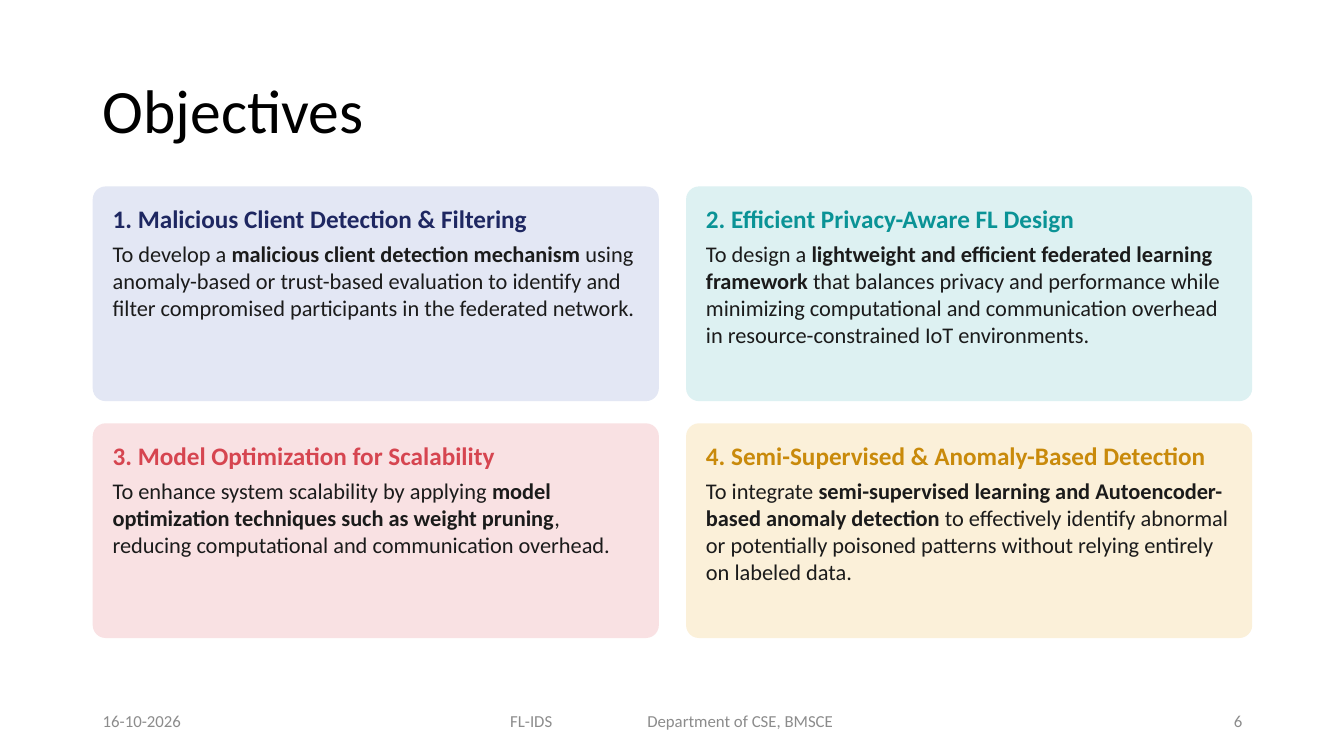
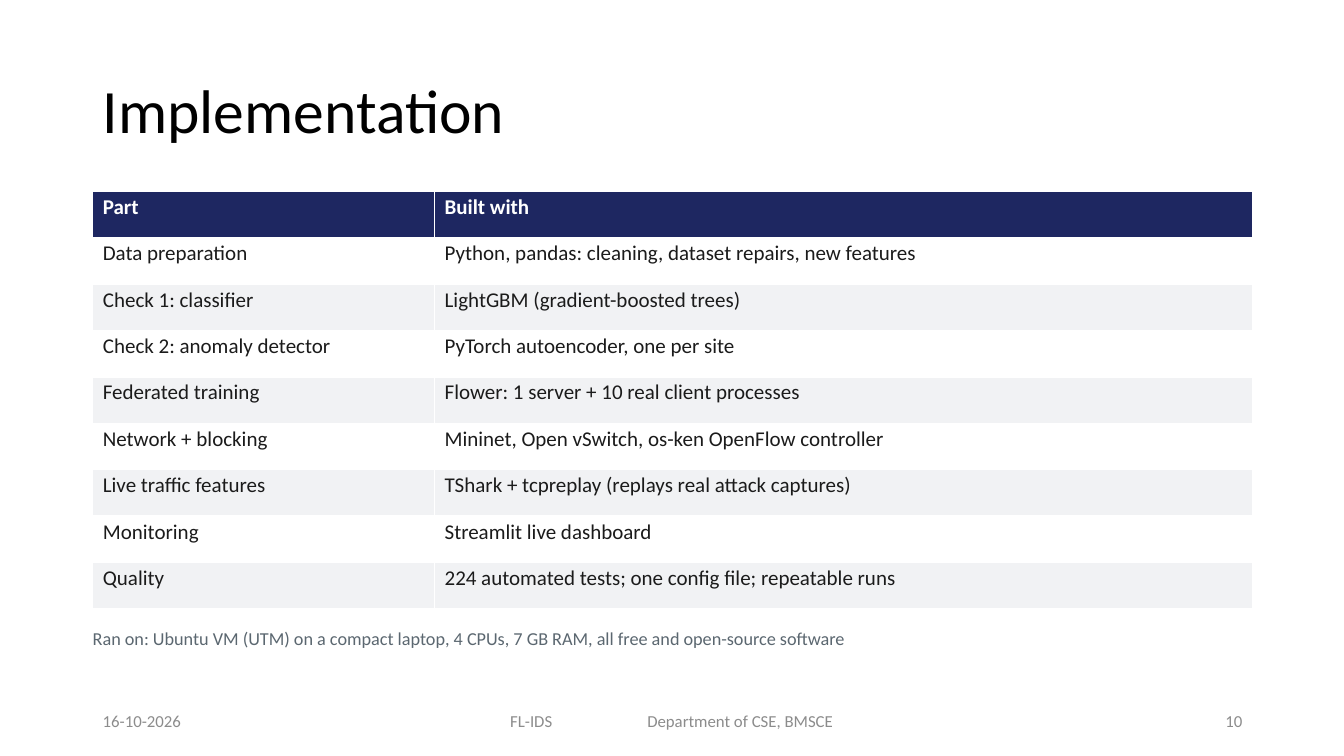
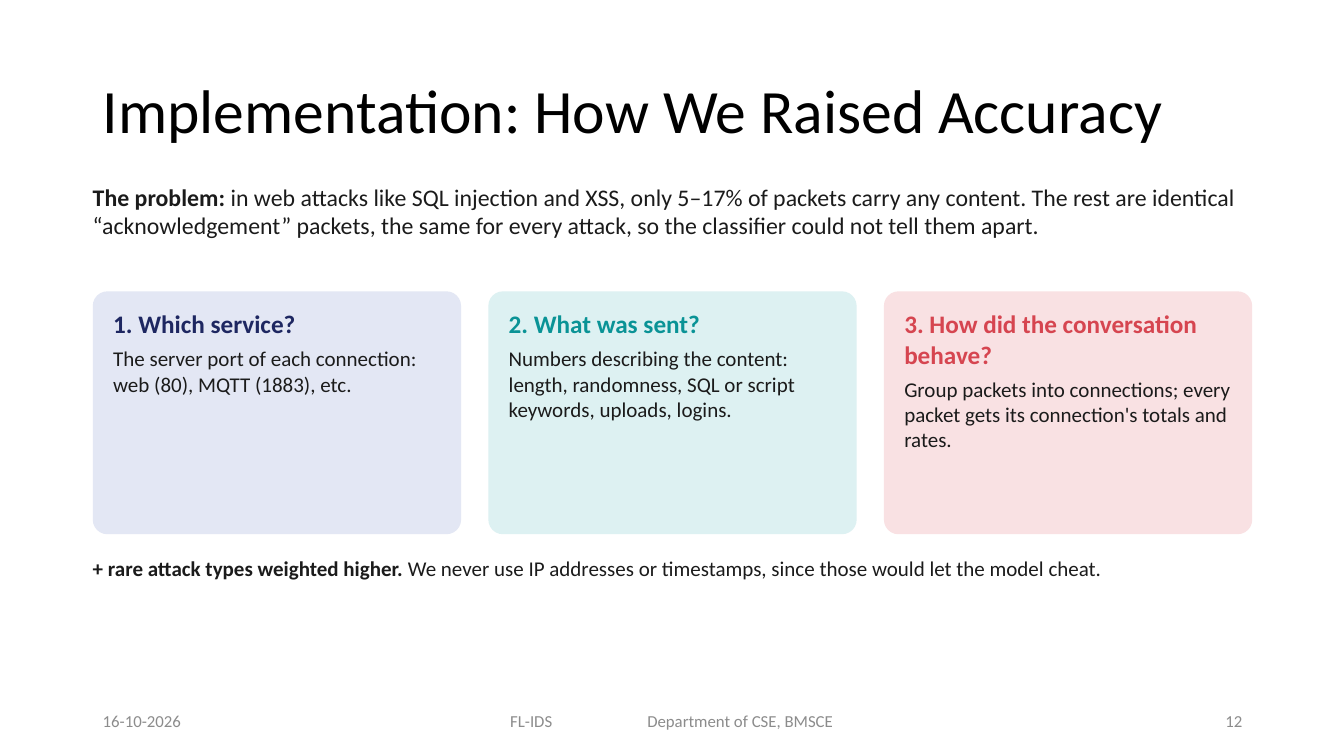
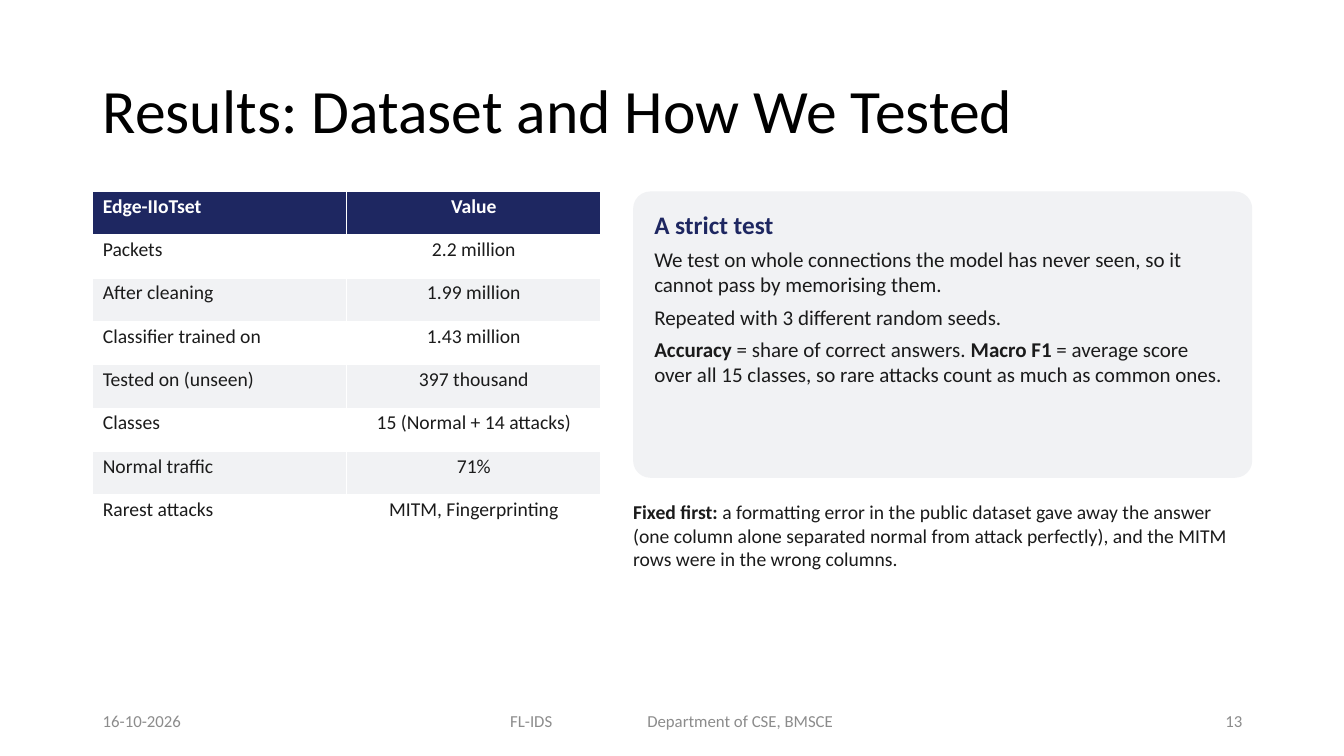
from dataclasses import dataclass

from lxml import etree
from pptx import Presentation
from pptx.dml.color import RGBColor
from pptx.enum.shapes import MSO_SHAPE
from pptx.enum.text import MSO_ANCHOR, MSO_AUTO_SIZE, PP_ALIGN
from pptx.oxml.ns import qn
from pptx.util import Inches, Pt

LEFT, CENTER, RIGHT = PP_ALIGN.LEFT, PP_ALIGN.CENTER, PP_ALIGN.RIGHT
TOP, MIDDLE = MSO_ANCHOR.TOP, MSO_ANCHOR.MIDDLE
ROUNDED = MSO_SHAPE.ROUNDED_RECTANGLE
GROW = MSO_AUTO_SIZE.SHAPE_TO_FIT_TEXT
FIXED = MSO_AUTO_SIZE.NONE
TITLE_ONLY = 5


@dataclass(frozen=True)
class Theme:
    font: str = "Calibri"
    black: str = "000000"
    white: str = "FFFFFF"
    ink: str = "1B1B1B"
    grey: str = "8C8C8C"
    slate: str = "5B6770"
    pale: str = "F1F2F4"
    navy: str = "1E2761"
    accents: tuple = (
        ("1E2761", "E3E7F4"),
        ("0A9396", "DDF1F2"),
        ("D64550", "F9E1E3"),
        ("C98A0B", "FBF0D9"),
    )
    title_size: float = 44
    heading_size: float = 18
    lead_size: float = 17
    large_size: float = 16
    body_size: float = 15
    small_size: float = 14
    note_size: float = 13
    footer_size: float = 12
    left: float = 0.92
    width: float = 11.5
    gap: float = 0.27


THEME = Theme()


def write_text(para, text, size=THEME.body_size, color=THEME.ink, bold=False,
               align=LEFT, before=None, line=None):
    """Write text, switching bold at each pair of asterisks."""
    para.alignment = align
    if before is not None:
        para.space_before = Pt(before)
    if line is not None:
        para.line_spacing = line
    for index, part in enumerate(text.split("**")):
        if part:
            span = para.add_run()
            span.text = part
            span.font.name = THEME.font
            span.font.size = Pt(size)
            span.font.bold = bold or index % 2 == 1
            span.font.color.rgb = RGBColor.from_string(color)


def set_margins(holder, left, top, right, bottom):
    holder.margin_left, holder.margin_top = Inches(left), Inches(top)
    holder.margin_right, holder.margin_bottom = Inches(right), Inches(bottom)


def paint(item, color):
    item.fill.solid()
    item.fill.fore_color.rgb = RGBColor.from_string(color)


class DeckBuilder:
    def __init__(self, theme):
        self.theme = theme
        self.deck = Presentation()
        self.deck.slide_width = Inches(13.33)
        self.deck.slide_height = Inches(7.5)
        self.page = None

    def add_page(self, title, number):
        theme = self.theme
        self.page = self.deck.slides.add_slide(self.deck.slide_layouts[TITLE_ONLY])
        box = self.page.shapes.title
        box.left, box.top = Inches(theme.left), Inches(0.4)
        box.width, box.height = Inches(theme.width), Inches(1.45)
        frame = box.text_frame
        frame.auto_size = FIXED
        frame.vertical_anchor = MIDDLE
        write_text(frame.paragraphs[0], title, size=theme.title_size,
                   color=theme.black, line=0.9)
        self.add_footer("16-10-2026", theme.left, 3)
        middle = self.add_footer("FL-IDS\tDepartment of CSE, BMSCE", 4.42, 4.5,
                                 inset=0.64)
        tabs = etree.SubElement(middle.paragraphs[0]._p.get_or_add_pPr(), qn("a:tabLst"))
        etree.SubElement(tabs, qn("a:tab"), pos=str(Inches(1.36)), algn="l")
        self.add_footer(str(number), 9.42, 3, align=RIGHT)

    def add_footer(self, text, left, width, inset=0.1, align=LEFT):
        frame = self.add_text(text, left, 6.95, width, 0.4, size=self.theme.footer_size,
                              color=self.theme.grey, align=align)
        frame.auto_size = FIXED
        frame.vertical_anchor = MIDDLE
        set_margins(frame, inset, 0.05, 0.1, 0.05)
        return frame

    def add_text(self, text, left, top, width, height, **style):
        box = self.page.shapes.add_textbox(Inches(left), Inches(top),
                                           Inches(width), Inches(height))
        frame = box.text_frame
        frame.word_wrap = True
        frame.auto_size = GROW
        set_margins(frame, 0, 0.05, 0, 0.05)
        write_text(frame.paragraphs[0], text, **style)
        return frame

    def add_card(self, heading, body, left, top, width, height, colors,
                 size=THEME.body_size):
        heading_color, fill_color = colors
        card = self.page.shapes.add_shape(ROUNDED, Inches(left), Inches(top),
                                          Inches(width), Inches(height))
        card.adjustments[0] = 0.06
        card.shadow.inherit = False
        paint(card, fill_color)
        card.line.fill.background()
        frame = card.text_frame
        frame.word_wrap = True
        frame.vertical_anchor = TOP
        set_margins(frame, 0.16, 0.13, 0.16, 0.05)
        write_text(frame.paragraphs[0], heading, size=self.theme.heading_size,
                   color=heading_color, bold=True)
        for text in body:
            write_text(frame.add_paragraph(), text, size=size, before=5)

    def add_card_grid(self, cards, columns, top, height, row_gap=0.0,
                      size=THEME.body_size):
        theme = self.theme
        width = (theme.width - theme.gap * (columns - 1)) / columns
        for index, (heading, text) in enumerate(cards):
            row, column = divmod(index, columns)
            self.add_card(heading, [text], theme.left + column * (width + theme.gap),
                          top + row * (height + row_gap), width, height,
                          theme.accents[index], size)

    def add_table(self, rows, top, widths, row_height, size, aligns):
        theme = self.theme
        table = self.page.shapes.add_table(
            len(rows), len(widths), Inches(theme.left), Inches(top),
            Inches(sum(widths)), Inches(row_height * len(rows))).table
        for column, width in zip(table.columns, widths):
            column.width = Inches(width)
        for row_index, row in enumerate(rows):
            header = row_index == 0
            stripe = theme.white if row_index % 2 else theme.pale
            for column_index, text in enumerate(row):
                cell = table.cell(row_index, column_index)
                set_margins(cell, 0.1, 0.03, 0.1, 0.03)
                paint(cell, theme.navy if header else stripe)
                write_text(cell.text_frame.paragraphs[0], text, size=size, bold=header,
                           color=theme.white if header else theme.ink,
                           align=aligns[column_index])


def build_objectives(builder):
    builder.add_page("Objectives", 6)
    builder.add_card_grid([
        ("1. Malicious Client Detection & Filtering",
         "To develop a **malicious client detection mechanism** using anomaly-based or "
         "trust-based evaluation to identify and filter compromised participants in the "
         "federated network."),
        ("2. Efficient Privacy-Aware FL Design",
         "To design a **lightweight and efficient federated learning framework** that "
         "balances privacy and performance while minimizing computational and "
         "communication overhead in resource-constrained IoT environments."),
        ("3. Model Optimization for Scalability",
         "To enhance system scalability by applying **model optimization techniques such "
         "as weight pruning**, reducing computational and communication overhead."),
        ("4. Semi-Supervised & Anomaly-Based Detection",
         "To integrate **semi-supervised learning and Autoencoder-based anomaly "
         "detection** to effectively identify abnormal or potentially poisoned patterns "
         "without relying entirely on labeled data."),
    ], columns=2, top=1.85, height=2.13, row_gap=0.22, size=THEME.large_size)


def build_implementation(builder):
    builder.add_page("Implementation", 10)
    builder.add_table([
        ("Part", "Built with"),
        ("Data preparation", "Python, pandas: cleaning, dataset repairs, new features"),
        ("Check 1: classifier", "LightGBM (gradient-boosted trees)"),
        ("Check 2: anomaly detector", "PyTorch autoencoder, one per site"),
        ("Federated training", "Flower: 1 server + 10 real client processes"),
        ("Network + blocking", "Mininet, Open vSwitch, os-ken OpenFlow controller"),
        ("Live traffic features", "TShark + tcpreplay (replays real attack captures)"),
        ("Monitoring", "Streamlit live dashboard"),
        ("Quality", "224 automated tests; one config file; repeatable runs"),
    ], 1.9, (3.39, 8.11), 0.46, THEME.body_size, (LEFT, LEFT))
    builder.add_text("Ran on: Ubuntu VM (UTM) on a compact laptop, 4 CPUs, 7 GB RAM, "
                     "all free and open-source software",
                     THEME.left, 6.17, THEME.width, 0.44,
                     size=THEME.note_size, color=THEME.slate)


def build_accuracy(builder):
    builder.add_page("Implementation: How We Raised Accuracy", 12)
    builder.add_text("**The problem:** in web attacks like SQL injection and XSS, only 5–17% "
                     "of packets carry any content. The rest are identical “acknowledgement” "
                     "packets, the same for every attack, so the classifier could not tell "
                     "them apart.",
                     THEME.left, 1.76, THEME.width, 0.87, size=THEME.lead_size)
    builder.add_card_grid([
        ("1. Which service?",
         "The server port of each connection: web (80), MQTT (1883), etc."),
        ("2. What was sent?",
         "Numbers describing the content: length, randomness, SQL or script keywords, "
         "uploads, logins."),
        ("3. How did the conversation behave?",
         "Group packets into connections; every packet gets its connection's totals "
         "and rates."),
    ], columns=3, top=2.89, height=2.41)
    builder.add_text("**+ rare attack types weighted higher.** We never use IP addresses or "
                     "timestamps, since those would let the model cheat.",
                     THEME.left, 5.46, THEME.width, 0.66)


def build_results(builder):
    builder.add_page("Results: Dataset and How We Tested", 13)
    builder.add_table([
        ("Edge-IIoTset", "Value"),
        ("Packets", "2.2 million"),
        ("After cleaning", "1.99 million"),
        ("Classifier trained on", "1.43 million"),
        ("Tested on (unseen)", "397 thousand"),
        ("Classes", "15 (Normal + 14 attacks)"),
        ("Normal traffic", "71%"),
        ("Rarest attacks", "MITM, Fingerprinting"),
    ], 1.9, (2.52, 2.52), 0.43, THEME.small_size, (LEFT, CENTER))
    left, width = 6.28, 6.14
    builder.add_card("A strict test", [
        "We test on whole connections the model has never seen, so it cannot pass by "
        "memorising them.",
        "Repeated with 3 different random seeds.",
        "**Accuracy** = share of correct answers. **Macro F1** = average score over all "
        "15 classes, so rare attacks count as much as common ones.",
    ], left, 1.9, width, 2.84, (THEME.navy, THEME.pale))
    builder.add_text("**Fixed first:** a formatting error in the public dataset gave away the "
                     "answer (one column alone separated normal from attack perfectly), and "
                     "the MITM rows were in the wrong columns.",
                     left, 4.91, width, 0.98, size=THEME.small_size)


def main():
    builder = DeckBuilder(THEME)
    build_objectives(builder)
    build_implementation(builder)
    build_accuracy(builder)
    build_results(builder)
    builder.deck.save("out.pptx")


if __name__ == "__main__":
    main()
